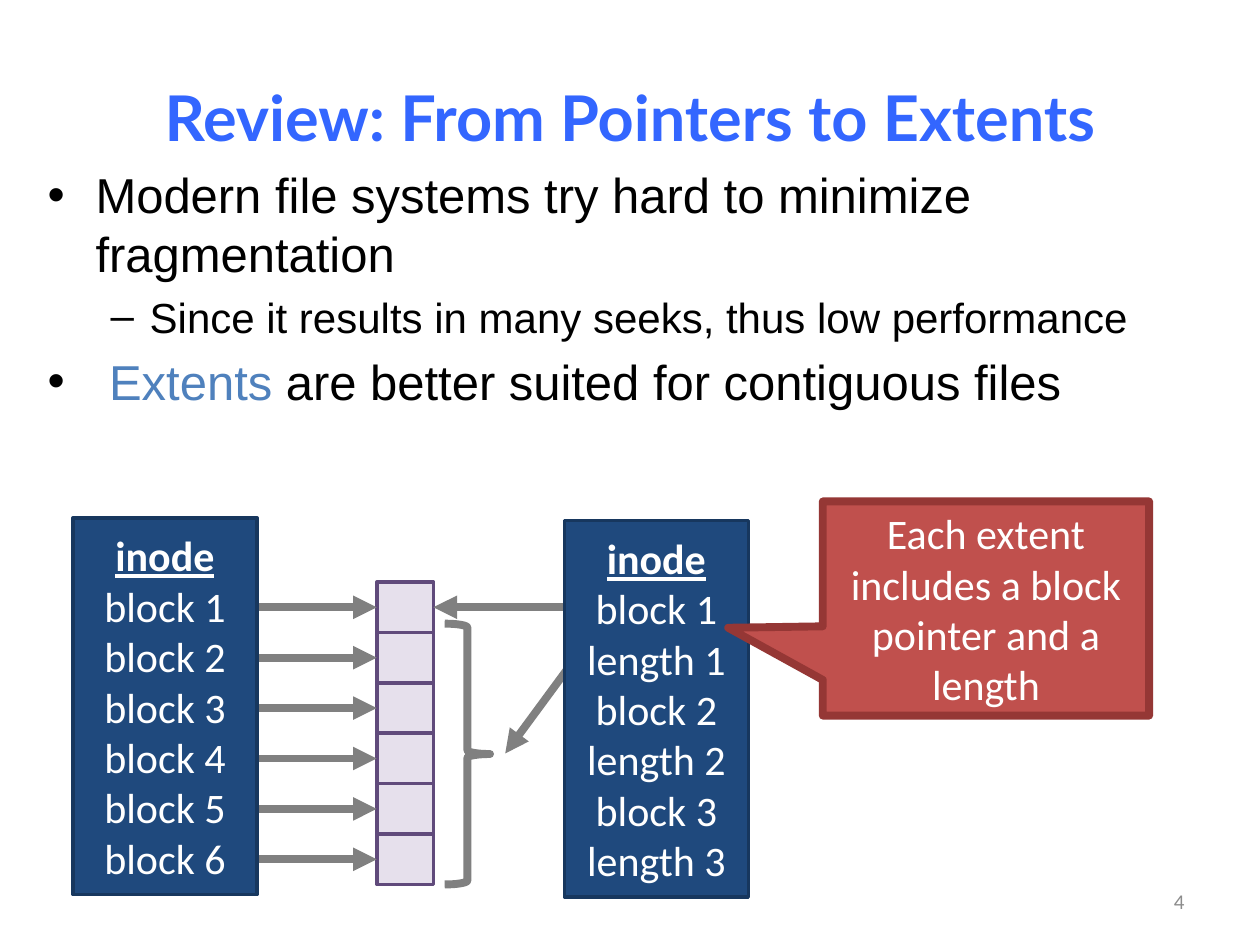
from pptx import Presentation
from pptx.dml.color import RGBColor
from pptx.enum.shapes import MSO_CONNECTOR, MSO_SHAPE
from pptx.enum.text import MSO_ANCHOR, PP_ALIGN
from pptx.oxml.ns import qn
from pptx.util import Inches, Pt
from lxml import etree

RECTANGLE = MSO_SHAPE.RECTANGLE
RIGHT_BRACE = MSO_SHAPE.RIGHT_BRACE
CALLOUT = MSO_SHAPE.RECTANGULAR_CALLOUT
STRAIGHT = MSO_CONNECTOR.STRAIGHT
TOP, MIDDLE = MSO_ANCHOR.TOP, MSO_ANCHOR.MIDDLE
LEFT, CENTER, RIGHT = PP_ALIGN.LEFT, PP_ALIGN.CENTER, PP_ALIGN.RIGHT
LEFT_SIDE, RIGHT_SIDE = 1, 3

BLACK, WHITE, GRAY = "000000", "FFFFFF", "808080"
TITLE_BLUE, ACCENT_BLUE, PAGE_GRAY = "3366FF", "4F81BD", "8C8C8C"
NAVY, NAVY_EDGE = "1F497D", "17375E"
LILAC, PURPLE = "E6E0EC", "604A7B"
RED, RED_EDGE = "C0504D", "953735"


def color(hex_string):
    return RGBColor.from_string(hex_string)


class SlideBuilder:
    heading_font, bullet_font, label_font = "Lato", "Arial", "Calibri"
    thin, thick = Pt(2), Pt(4.5)

    def __init__(self, slide):
        self.slide = slide

    def style(self, paragraph, size, font, hex_string, alignment=LEFT):
        paragraph.alignment = alignment
        paragraph.font.size = Pt(size)
        paragraph.font.name = font
        paragraph.font.color.rgb = color(hex_string)

    def text_box(self, left, top, width, height, anchor=MIDDLE):
        box = self.slide.shapes.add_textbox(
            Inches(left), Inches(top), Inches(width), Inches(height))
        box.text_frame.word_wrap = True
        box.text_frame.vertical_anchor = anchor
        return box.text_frame

    def line_of_text(self, text, left, top, width, height, size, font,
                     hex_string, alignment, bold=False):
        paragraph = self.text_box(left, top, width, height).paragraphs[0]
        paragraph.text = text
        self.style(paragraph, size, font, hex_string, alignment)
        paragraph.font.bold = bold

    def bullets(self, items, left, top, width, height):
        """Each item holds its level and its (text, colour) runs."""
        frame = self.text_box(left, top, width, height, TOP)
        levels = [("•", 28, 0.38, -0.38), ("–", 24, 0.81, -0.31)]
        for index, (level, runs) in enumerate(items):
            paragraph = frame.add_paragraph() if index else frame.paragraphs[0]
            mark, size, margin, indent = levels[level]
            self.style(paragraph, size, self.bullet_font, BLACK)
            paragraph.level = level
            paragraph.space_before = Pt(size * 0.2)
            for text, hex_string in runs:
                run = paragraph.add_run()
                run.text = text
                run.font.color.rgb = color(hex_string)
            properties = paragraph._p.get_or_add_pPr()
            properties.set("marL", str(Inches(margin)))
            properties.set("indent", str(Inches(indent)))
            bullet_font = etree.Element(qn("a:buFont"), typeface=self.bullet_font)
            bullet = etree.Element(qn("a:buChar"), char=mark)
            properties.find(qn("a:spcBef")).addnext(bullet_font)
            bullet_font.addnext(bullet)

    def shape(self, kind, left, top, width, height, fill, line, weight, lines=()):
        shape = self.slide.shapes.add_shape(
            kind, Inches(left), Inches(top), Inches(width), Inches(height))
        shape.shadow.inherit = False
        if fill:
            shape.fill.solid()
            shape.fill.fore_color.rgb = color(fill)
        else:
            shape.fill.background()
        shape.line.color.rgb = color(line)
        shape.line.width = weight
        if lines:
            frame = shape.text_frame
            frame.word_wrap = True
            frame.vertical_anchor = MIDDLE
            frame.text = "\n".join(lines)
            for paragraph in frame.paragraphs:
                self.style(paragraph, 24, self.label_font, WHITE, CENTER)
        return shape

    def inode(self, left, top, entries):
        shape = self.shape(RECTANGLE, left, top, 1.46, 2.99, NAVY, NAVY_EDGE,
                           self.thin, ["inode", *entries])
        heading = shape.text_frame.paragraphs[0]
        heading.font.bold = heading.font.underline = True

    def arrow(self, start, end, target=None, side=None):
        connector = self.slide.shapes.add_connector(
            STRAIGHT, *(Inches(value) for value in (*start, *end)))
        if target is not None:
            connector.end_connect(target, side)
        connector.line.color.rgb = color(GRAY)
        connector.line.width = self.thick
        etree.SubElement(connector.line._get_or_add_ln(), qn("a:tailEnd"),
                         type="triangle")
        etree.SubElement(connector._element.spPr, qn("a:effectLst"))


def main():
    presentation = Presentation()
    presentation.slide_width, presentation.slide_height = Inches(10), Inches(7.5)
    builder = SlideBuilder(
        presentation.slides.add_slide(presentation.slide_layouts[6]))

    builder.line_of_text("Review: From Pointers to Extents", 0.5, 0.3, 9, 1.25,
                         36, builder.heading_font, TITLE_BLUE, CENTER, bold=True)
    builder.bullets([
        (0, [("Modern file systems try hard to minimize fragmentation", BLACK)]),
        (1, [("Since it results in many seeks, thus low performance", BLACK)]),
        (0, [(" ", BLACK), ("Extents", ACCENT_BLUE),
             (" are better suited for contiguous files", BLACK)]),
    ], 0.28, 1.26, 9.49, 2.49)
    builder.line_of_text("4", 7.17, 6.95, 2.33, 0.4,
                         12, builder.label_font, PAGE_GRAY, RIGHT)

    cell_left, cell_top, cell_width, cell_height = 2.99, 4.62, 0.45, 0.4
    cells = [builder.shape(RECTANGLE, cell_left, cell_top + row * cell_height,
                           cell_width, cell_height, LILAC, PURPLE, builder.thin)
             for row in range(6)]
    for row, cell in enumerate(cells):
        middle = cell_top + (row + 0.5) * cell_height
        builder.arrow((0.78, middle), (cell_left, middle), cell, LEFT_SIDE)
    builder.inode(0.58, 4.11, [f"block {number}" for number in range(1, 7)])

    first_middle = cell_top + cell_height / 2
    builder.arrow((5.52, first_middle), (cell_left + cell_width, first_middle),
                  cells[0], RIGHT_SIDE)
    builder.shape(RIGHT_BRACE, 3.53, 4.95, 0.36, 2.07, None, GRAY, builder.thick)
    builder.arrow((4.57, 5.22), (4.01, 5.98))
    builder.inode(4.48, 4.13, [f"{word} {number}" for number in range(1, 4)
                               for word in ("block", "length")])

    callout = builder.shape(CALLOUT, 6.53, 3.98, 2.59, 1.7, RED, RED_EDGE,
                            builder.thick,
                            ["Each extent includes a block pointer and a length"])
    callout.adjustments[0], callout.adjustments[1] = -0.79, 0.09

    presentation.save("out.pptx")


if __name__ == "__main__":
    main()
